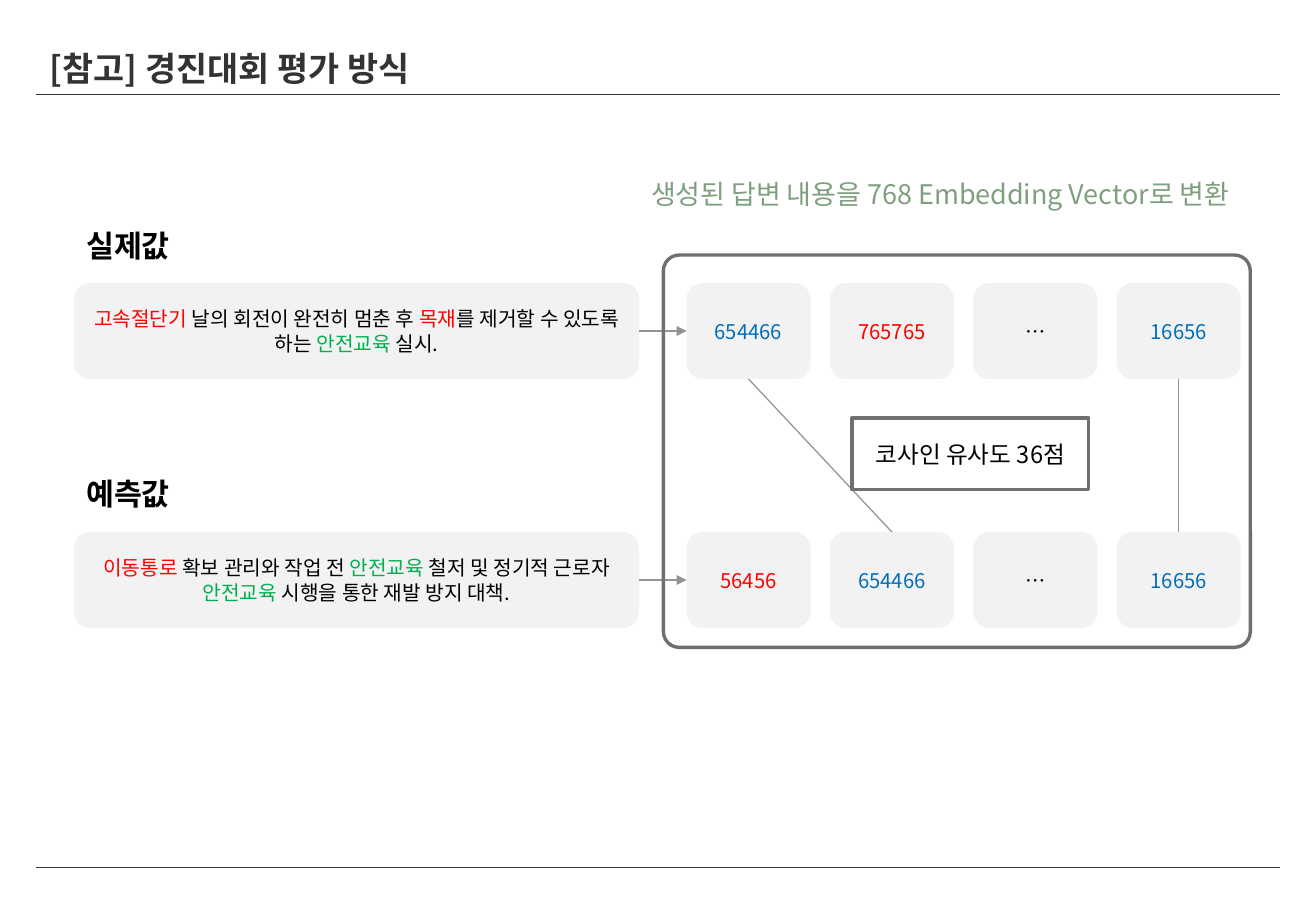
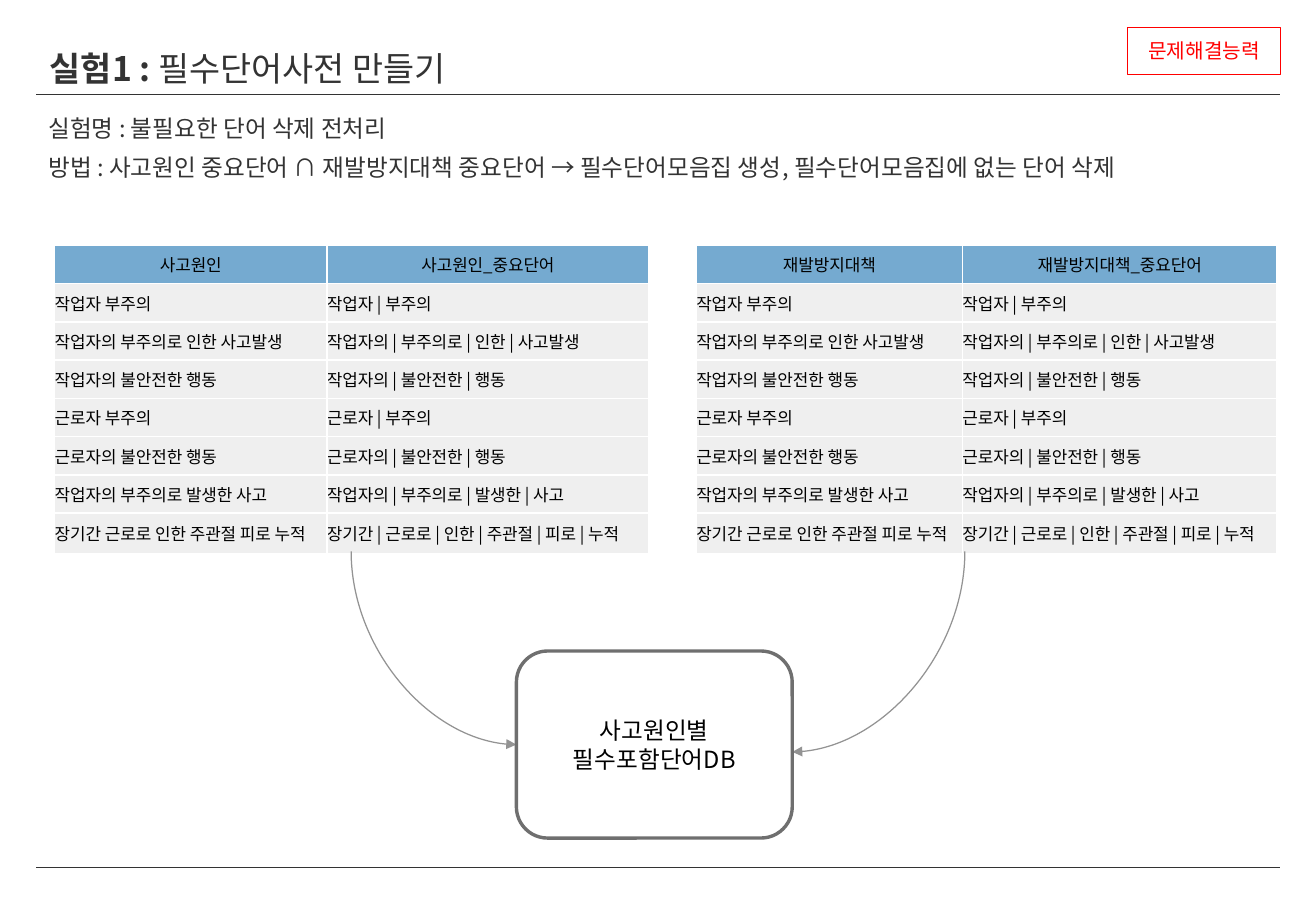
from lxml import etree
from pptx import Presentation
from pptx.dml.color import RGBColor
from pptx.enum.shapes import MSO_CONNECTOR, MSO_SHAPE
from pptx.enum.text import MSO_ANCHOR, MSO_AUTO_SIZE, PP_ALIGN
from pptx.oxml.ns import qn
from pptx.util import Pt

EMU_PER_PX = 9144
FONT = "Noto Sans CJK KR"
COLORS = {
    "ink": "333333", "black": "000000", "white": "FFFFFF", "red": "FF0000",
    "green": "00B050", "blue": "006DBB", "sage": "7F9F7F", "card": "F2F2F2",
    "outline": "6F6F6F", "link": "939393", "head": "75AAD0", "cell": "EFEFEF",
}
STRAIGHT, CURVE = MSO_CONNECTOR.STRAIGHT, MSO_CONNECTOR.CURVE
RECT, ROUND = MSO_SHAPE.RECTANGLE, MSO_SHAPE.ROUNDED_RECTANGLE
LEFT, CENTER = PP_ALIGN.LEFT, PP_ALIGN.CENTER
MIDDLE, NO_FIT = MSO_ANCHOR.MIDDLE, MSO_AUTO_SIZE.NONE
TOP_SITE, LEFT_SITE, BOTTOM_SITE, RIGHT_SITE = range(4)

CAUSES = [
    "작업자 부주의", "작업자의 부주의로 인한 사고발생", "작업자의 불안전한 행동",
    "근로자 부주의", "근로자의 불안전한 행동", "작업자의 부주의로 발생한 사고",
    "장기간 근로로 인한 주관절 피로 누적",
]
ANSWERS = [
    ("실제값", 182, 233,
     [("고속절단기", "red"), (" 날의 회전이 완전히 멈춘 후 ", "black"), ("목재", "red"),
      ("를 제거할 수 있도록 하는 ", "black"), ("안전교육", "green"), (" 실시.", "black")],
     [("654466", "blue"), ("765765", "red"), ("…", "black"), ("16656", "blue")]),
    ("예측값", 386, 438,
     [("이동통로", "red"), (" 확보 관리와 작업 전 ", "black"), ("안전교육", "green"),
      (" 철저 및 정기적 근로자 ", "black"), ("안전교육", "green"),
      (" 시행을 통한 재발 방지 대책.", "black")],
     [("56456", "red"), ("654466", "blue"), ("…", "black"), ("16656", "blue")]),
]


def px(*lengths):
    """Turn px lengths into a list of EMU lengths."""
    return [n * EMU_PER_PX for n in lengths]


def rgb(name):
    """Look up a palette colour."""
    return RGBColor.from_string(COLORS[name])


def style(p, size, color="black", bold=False, align=LEFT):
    """Set the font and alignment of a whole paragraph."""
    p.alignment = align
    p.font.size, p.font.bold, p.font.name = Pt(size), bold, FONT
    p.font.color.rgb = rgb(color)
    defaults = p._p.pPr.find(qn("a:defRPr"))
    etree.SubElement(defaults, qn("a:ea")).set("typeface", FONT)


def write(tf, lines, size, color="black", bold=False, align=LEFT):
    """Fill a text frame with lines, each a string or (text, colour) runs."""
    for i, line in enumerate(lines):
        p = tf.add_paragraph() if i else tf.paragraphs[0]
        if isinstance(line, str):
            p.text = line
        else:
            for text, run_color in line:
                r = p.add_run()
                r.text = text
                r.font.color.rgb = rgb(run_color)
        style(p, size, color, bold, align)


def add_text(s, box, lines, size, color="black", bold=False, wrap=True):
    """Add a text box and return its frame."""
    tf = s.shapes.add_textbox(*px(*box)).text_frame
    tf.word_wrap = wrap
    write(tf, lines, size, color, bold)
    return tf


def add_box(s, kind, box, lines=(), size=12, color="black", fill=None, line=None, width=2):
    """Add a preset shape with centred text."""
    sp = s.shapes.add_shape(kind, *px(*box))
    sp.shadow.inherit = False
    if fill:
        sp.fill.solid()
        sp.fill.fore_color.rgb = rgb(fill)
    else:
        sp.fill.background()
    if line:
        sp.line.color.rgb = rgb(line)
        sp.line.width = Pt(width)
    else:
        sp.line.fill.background()
    sp.text_frame.word_wrap = True
    sp.text_frame.vertical_anchor = MIDDLE
    write(sp.text_frame, lines, size, color, align=CENTER)
    return sp


def add_line(s, start, end, color="link", width=0.75, arrow=False, kind=STRAIGHT):
    """Add a connector without a shadow."""
    c = s.shapes.add_connector(kind, *px(*start, *end))
    c.line.color.rgb = rgb(color)
    c.line.width = Pt(width)
    if arrow:
        etree.SubElement(c.line._get_or_add_ln(), qn("a:tailEnd")).set("type", "triangle")
    etree.SubElement(c._element.spPr, qn("a:effectLst"))
    return c


def add_link(s, source, source_site, target, target_site, arrow=False):
    """Join two shapes with a straight connector."""
    c = add_line(s, (0, 0), (0, 0), arrow=arrow)
    c.begin_connect(source, source_site)
    c.end_connect(target, target_site)


def add_curve(s, start, end):
    """Add an arrow that leaves downwards and bends to arrive sideways."""
    (x1, y1), (x2, y2) = start, end
    c = add_line(s, start, end, arrow=True, kind=CURVE)
    w, h = px(abs(y2 - y1), abs(x2 - x1))
    mid_x, mid_y = px(x1 + x2, y1 + y2)
    spPr = c._element.spPr
    spPr.find(qn("a:prstGeom")).set("prst", "curvedConnector2")
    xfrm = spPr.find(qn("a:xfrm"))
    rightward = x2 > x1
    xfrm.set("rot", str((270 if rightward else 90) * 60000))
    xfrm.set("flipH", str(int(rightward)))
    c.left, c.top, c.width, c.height = (mid_x - w) // 2, (mid_y - h) // 2, w, h


def add_word_table(s, left, widths, name):
    """Add a table that pairs each sentence with its words."""
    rows = [(name, f"{name}_중요단어")]
    rows += [(text, " | ".join(text.split())) for text in CAUSES]
    frame = s.shapes.add_table(len(rows), 2, *px(left, 202, sum(widths), 252))
    table = frame.table
    for column, width in zip(table.columns, px(*widths)):
        column.width = width
    for i, row in enumerate(rows):
        for j, text in enumerate(row):
            cell = table.cell(i, j)
            cell.margin_left = cell.margin_right = cell.margin_top = cell.margin_bottom = 0
            cell.vertical_anchor = MIDDLE
            for side in ("lnL", "lnR", "lnT", "lnB"):
                ln = etree.SubElement(cell._tc.get_or_add_tcPr(), qn(f"a:{side}"), w=str(Pt(1)))
                fill = etree.SubElement(ln, qn("a:solidFill"))
                etree.SubElement(fill, qn("a:srgbClr"), val=COLORS["white"])
            cell.fill.solid()
            cell.fill.fore_color.rgb = rgb("cell" if i else "head")
            write(cell.text_frame, [text], 10, align=LEFT if i else CENTER)


def start_slide(prs, strong, light="", width=667):
    """Add a slide with its title and the two rules."""
    s = prs.slides.add_slide(prs.slide_layouts[5])
    for y in (78, 714):
        add_line(s, (30, y), (1053, y), "ink", 0.5)
    title = s.shapes.title
    title.left, title.top, title.width, title.height = px(31, 41, width, 30)
    tf = title.text_frame
    tf.auto_size, tf.word_wrap, tf.vertical_anchor = NO_FIT, True, MIDDLE
    write(tf, [strong], 20, "ink", True)
    if light:
        r = tf.paragraphs[0].add_run()
        r.text, r.font.bold = light, False
    return s


def scoring_slide(prs):
    """Build the slide on how answers are scored."""
    s = start_slide(prs, "[참고] 경진대회 평가 방식")
    vectors = []
    for label, label_top, top, sentence, numbers in ANSWERS:
        add_text(s, (61, label_top, 91, 40), [label], 18, bold=True, wrap=False)
        answer = add_box(s, ROUND, (61, top, 465, 79), [sentence], fill="card")
        cards = [add_box(s, ROUND, (565 + 118 * i, top, 102, 79), [text], 12, color, "card")
                 for i, (text, color) in enumerate(numbers)]
        add_link(s, answer, RIGHT_SITE, cards[0], LEFT_SITE, arrow=True)
        vectors.append(cards)
    add_text(s, (526, 141, 515, 37), ["생성된 답변 내용을 768 Embedding Vector로 변환"], 16, "sage")
    frame = add_box(s, ROUND, (546, 210, 483, 323), line="outline")
    frame.adjustments[0] = 0.04
    actual, predicted = vectors
    for i, j in ((0, 1), (3, 3)):
        add_link(s, actual[i], BOTTOM_SITE, predicted[j], TOP_SITE)
    add_box(s, RECT, (701, 344, 195, 59), ["코사인 유사도 36점"], 14, fill="white", line="outline")


def dictionary_slide(prs):
    """Build the slide on the dictionary of required words."""
    s = start_slide(prs, "실험1 : ", "필수단어사전 만들기", 865)
    add_box(s, RECT, (928, 22, 126, 39), ["문제해결능력"], 12, "red", "white", "red", 0.25)
    tf = add_text(s, (30, 84, 1024, 71), [
        "실험명 : 불필요한 단어 삭제 전처리",
        "방법 : 사고원인 중요단어 ∩ 재발방지대책 중요단어 → 필수단어모음집 생성, "
        "필수단어모음집에 없는 단어 삭제",
    ], 14, "ink")
    for p in tf.paragraphs:
        p.line_spacing = 1.2
    tf.paragraphs[1].space_before = Pt(2.8)
    add_word_table(s, 45, (224, 265), "사고원인")
    add_word_table(s, 573, (219, 259), "재발방지대책")
    add_curve(s, (289, 454), (425, 613))
    add_curve(s, (794, 454), (652, 619))
    add_box(s, ROUND, (425, 536, 227, 154), ["사고원인별", "필수포함단어DB"], 14,
            fill="white", line="outline")


def main():
    """Build and save the presentation."""
    prs = Presentation()
    prs.slide_width, prs.slide_height = px(1083, 750)
    scoring_slide(prs)
    dictionary_slide(prs)
    prs.save("out.pptx")


if __name__ == "__main__":
    main()
